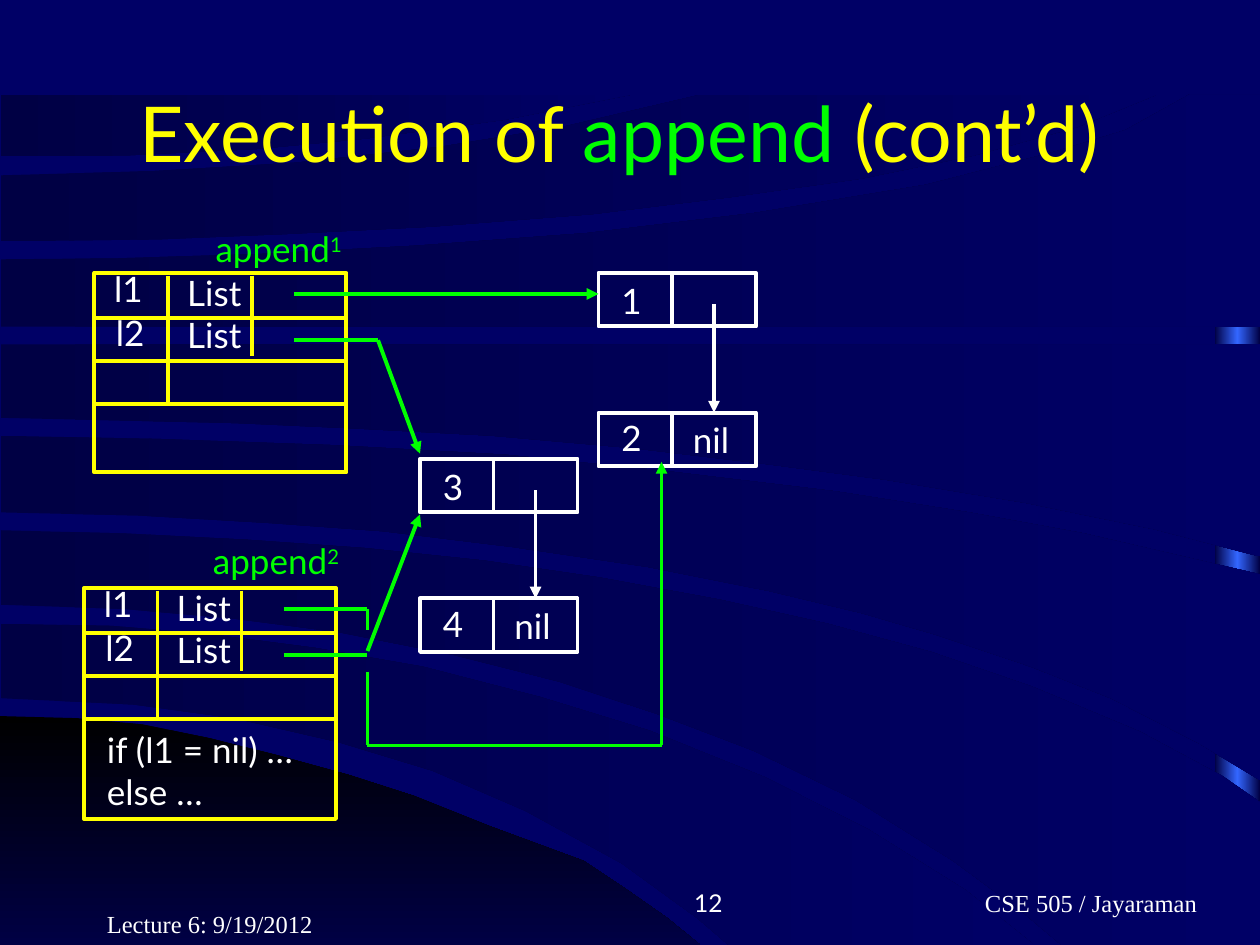
import copy
import itertools

import pptx
import pptx.dml.color
import pptx.enum.shapes
import pptx.enum.text
import pptx.oxml.ns
import pptx.util
from lxml import etree

COLUMNS, ROWS = 120, 90
SLIDE_WIDTH, SLIDE_HEIGHT = pptx.util.Inches(10), pptx.util.Inches(7.5)
SANS, SERIF = "Lato", "Times New Roman"
COLORS = {
    "background": "000066", "deep": "000044", "black": "000000",
    "glow": "3366FF", "frame": "FFFF00", "pointer": "00FF00", "white": "FFFFFF",
}
LEFT, CENTER, RIGHT = (getattr(pptx.enum.text.PP_ALIGN, name)
                       for name in ("LEFT", "CENTER", "RIGHT"))

# Outlines of the backdrop, in columns and rows
HILL = [(0, 90), (0, 68.2), (7.4, 68.4), (13.6, 69), (19.9, 70.3), (26.3, 71.9),
        (33.2, 73.8), (39.4, 75.8), (46.4, 78.6), (55.6, 82), (59.5, 84.6),
        (63.5, 87.4), (66.7, 90)]
BANDS = [
    [(0.1, 59.4), (10.6, 59.6), (20, 60.4), (30, 61.7), (40.3, 63.5), (51.5, 66.4),
     (61.9, 69.6), (72.8, 74), (82.7, 79), (92, 84.8), (98.5, 90), (69.4, 90),
     (66.5, 87.5), (59.2, 82.2), (50, 77.2), (41.2, 73.4), (32.3, 70.7),
     (22.3, 68.4), (12.7, 67.1), (0.1, 66.5)],
    [(0.1, 50.5), (11.8, 50.8), (23.5, 51.4), (34.8, 52.2), (46.2, 53.4), (57.1, 55),
     (68.5, 57.1), (78.8, 59.4), (88.7, 62.1), (98.3, 65.4), (108.6, 69.7),
     (116.4, 73.9), (120, 76.4), (120, 90), (101.1, 90), (97.3, 86.8), (90.8, 82),
     (81.5, 76.2), (71.8, 71.5), (62.6, 68), (53.2, 64.9), (43.3, 62.4),
     (32.2, 60.2), (22.1, 58.9), (11.8, 58), (0.1, 57.6)],
    [(0.1, 41.5), (15, 41.8), (31.9, 42.4), (48.1, 43.3), (62.9, 44.8), (79.6, 46.8),
     (92.3, 48.8), (103.2, 50.8), (120, 54.7), (120, 74.3), (114.2, 70.8),
     (105.8, 66.5), (98.2, 63.5), (89.3, 60.5), (82.1, 58.4), (73.3, 56.3),
     (61.7, 54), (48.8, 52.1), (36.5, 50.6), (25.4, 49.8), (13.2, 49.1), (0.1, 48.8)],
    [(0.1, 32.8), (120, 32.8), (120, 53), (109.9, 50.4), (97.7, 47.9), (84.4, 45.7),
     (73, 44.2), (60.4, 42.7), (46.8, 41.5), (33.5, 40.8), (22.4, 40.3), (0.1, 39.8)],
    [(0.1, 24.7), (11.3, 24.6), (24.5, 24.2), (39.6, 23.4), (55.9, 22.2), (71.8, 20.3),
     (88.2, 17.6), (100.3, 14.5), (107.2, 12.4), (113.3, 9), (120, 9), (120, 31.1),
     (0.1, 31.1)],
    [(0.1, 16.7), (14.6, 16.3), (28.1, 15.5), (41.8, 14), (53.5, 12.1), (66.8, 9),
     (110.2, 9), (102.6, 12.1), (92.8, 14.8), (82.1, 17), (69.4, 18.8), (56.4, 20.4),
     (41, 21.6), (27.2, 22.3), (15.2, 22.8), (0.1, 23)],
    [(0.1, 9), (60.2, 9), (48.1, 11.4), (34.8, 13.2), (24.4, 14.2), (12.2, 14.8),
     (0.1, 14.9)],
]


def col(count):
    return round(SLIDE_WIDTH * count / COLUMNS)


def row(count):
    return round(SLIDE_HEIGHT * count / ROWS)


def rgb(color):
    return pptx.dml.color.RGBColor.from_string(COLORS[color])


def paint_gradient(shape, colors, angle=0):
    """Fill a shape with evenly spaced colours and no outline."""
    shape.shadow.inherit = False
    shape.line.fill.background()
    shape.fill.gradient()
    shape.fill.gradient_angle = angle
    stop_list = shape._element.spPr.find(".//" + pptx.oxml.ns.qn("a:gsLst"))
    for _ in colors[2:]:
        stop_list.append(copy.deepcopy(stop_list[-1]))
    for index, (stop, color) in enumerate(zip(shape.fill.gradient_stops, colors)):
        stop.color.rgb = rgb(color)
        stop.position = index / (len(colors) - 1)


def add_outline(slide, points):
    corners = [(col(x), row(y)) for x, y in points]
    builder = slide.shapes.build_freeform(*corners[0])
    builder.add_line_segments(corners[1:], close=True)
    return builder.convert_to_shape()


def add_rectangle(slide, x, y, width, height):
    return slide.shapes.add_shape(pptx.enum.shapes.MSO_SHAPE.RECTANGLE,
                                  col(x), row(y), col(width), row(height))


def add_backdrop(slide):
    slide.background.fill.solid()
    slide.background.fill.fore_color.rgb = rgb("background")
    paint_gradient(add_rectangle(slide, 115.7, 9.2, 4.3, 80.8), ["deep", "glow", "deep"])
    paint_gradient(add_outline(slide, HILL), ["black", "deep"], angle=270)
    for band in BANDS:
        paint_gradient(add_outline(slide, band), ["deep", "background"])


def add_box(slide, x, y, width, height, color):
    box = add_rectangle(slide, x, y, width, height)
    box.shadow.inherit = False
    box.fill.background()
    box.line.color.rgb = rgb(color)
    box.line.width = pptx.util.Pt(2.25)


def add_route(slide, points, color, arrow=False):
    """Join the points by straight lines, with an arrowhead on the last."""
    for (x1, y1), (x2, y2) in itertools.pairwise(points):
        segment = slide.shapes.add_connector(
            pptx.enum.shapes.MSO_CONNECTOR.STRAIGHT, col(x1), row(y1), col(x2), row(y2))
        segment.line.color.rgb = rgb(color)
        segment.line.width = pptx.util.Pt(2.25)
        etree.SubElement(segment._element.spPr, pptx.oxml.ns.qn("a:effectLst"))
    if arrow:
        etree.SubElement(segment.line._get_or_add_ln(),
                         pptx.oxml.ns.qn("a:tailEnd"), type="triangle")


def add_run(paragraph, text, size, color, font=SANS):
    run = paragraph.add_run()
    run.text = text
    run.font.size = pptx.util.Pt(size)
    run.font.name = font
    run.font.color.rgb = rgb(color)
    return run


def add_label(slide, text, x, y, width, color="white", superscript=""):
    label = slide.shapes.add_textbox(col(x), row(y), col(width), row(5.25))
    label.text_frame.word_wrap = False
    label.text_frame.auto_size = pptx.enum.text.MSO_AUTO_SIZE.SHAPE_TO_FIT_TEXT
    paragraph = label.text_frame.paragraphs[0]
    add_run(paragraph, text, 20, color)
    if superscript:
        raised = add_run(paragraph, superscript, 20, color)
        raised.font._element.set("baseline", "30000")


def add_footer(slide, text, x, y, width, align, font):
    footer = slide.shapes.add_textbox(col(x), row(y), col(width), row(6))
    footer.text_frame.word_wrap = True
    footer.text_frame.vertical_anchor = pptx.enum.text.MSO_ANCHOR.BOTTOM
    paragraph = footer.text_frame.paragraphs[0]
    paragraph.alignment = align
    add_run(paragraph, text, 14, "white", font)


def add_title(slide):
    title = slide.shapes.title
    slide.shapes._spTree.append(title._element)  # in front of the backdrop
    title.left, title.top, title.width, title.height = col(8), row(5), col(102), row(15)
    title.text_frame.vertical_anchor = pptx.enum.text.MSO_ANCHOR.MIDDLE
    paragraph = title.text_frame.paragraphs[0]
    paragraph.alignment = CENTER
    for text, color in (("Execution of ", "frame"), ("append ", "pointer"),
                        ("(cont’d)", "frame")):
        add_run(paragraph, text, 44, color)


def add_activation(slide, x, y, height, number, name_x, name_y):
    """Draw a call frame with its two list variables and its name above."""
    add_box(slide, x, y, 24, height, "frame")
    for line_y in (y + 4.3, y + 8.4, y + 12.5):
        add_route(slide, [(x, line_y), (x + 24, line_y)], "frame")
    for line_x, depth in ((x + 7, 12.5), (x + 15, 7.9)):
        add_route(slide, [(line_x, y + 0.25), (line_x, y + depth)], "frame")
    for index, variable in enumerate(("l1", "l2")):
        add_label(slide, variable, x + 0.7 + 0.15 * index, y - 1.1 + 4.2 * index, 5.2)
        add_label(slide, "List", x + 7.65, y - 0.7 + 4 * index, 7.8)
    add_label(slide, "append", name_x, name_y, 15.5, "pointer", number)


def add_linked_list(slide, x, y, values):
    spacing = 13.3
    for index, value in enumerate(values):
        top = y + spacing * index
        add_box(slide, x, top, 15, 5.1, "white")
        add_route(slide, [(x + 7, top), (x + 7, top + 5.1)], "white")
        add_label(slide, value, x + 1, top - 0.2 * index, 4.3)
        if index < len(values) - 1:
            add_route(slide, [(x + 11, top + 3), (x + 11, top + spacing)], "white", True)
        else:
            add_label(slide, "nil", x + 7.8, top, 6.1)


def add_condition(slide):
    condition = slide.shapes.add_textbox(col(9), row(68.8), col(26), row(9.25))
    condition.text_frame.word_wrap = True
    paragraph = condition.text_frame.paragraphs[0]
    add_run(paragraph, "if (l1 = nil) … ", 20, "white")
    paragraph.add_line_break()
    add_run(paragraph, "else …", 20, "white")


def main():
    deck = pptx.Presentation()
    deck.slide_width, deck.slide_height = SLIDE_WIDTH, SLIDE_HEIGHT
    slide = deck.slides.add_slide(deck.slide_layouts[5])
    add_backdrop(slide)
    add_title(slide)
    add_activation(slide, 9, 26, 19, "1", 19.35, 21.1)
    add_activation(slide, 8, 56, 22, "2", 19.1, 50.8)
    add_condition(slide)
    add_linked_list(slide, 57, 26, ["1", "2"])
    add_linked_list(slide, 40, 43.7, ["3", "4"])
    for points, arrow in (
        ([(28, 28), (57, 28)], True),
        ([(28, 32.4), (36, 32.4), (40, 43.2)], True),
        ([(27, 62.4), (35, 62.4)], False),
        ([(35, 62), (40, 49)], True),
        ([(27, 58), (35, 58), (35, 60)], False),
        ([(35, 64), (35, 71), (63, 71), (63, 44)], True),
    ):
        add_route(slide, points, "pointer", arrow)
    add_footer(slide, "Lecture 6: 9/19/2012", 9, 84, 25, LEFT, SERIF)
    add_footer(slide, "12", 45, 82, 25, RIGHT, SANS)
    add_footer(slide, "CSE 505 / Jayaraman", 79, 82, 36.2, RIGHT, SERIF)
    deck.save("out.pptx")


if __name__ == "__main__":
    main()
